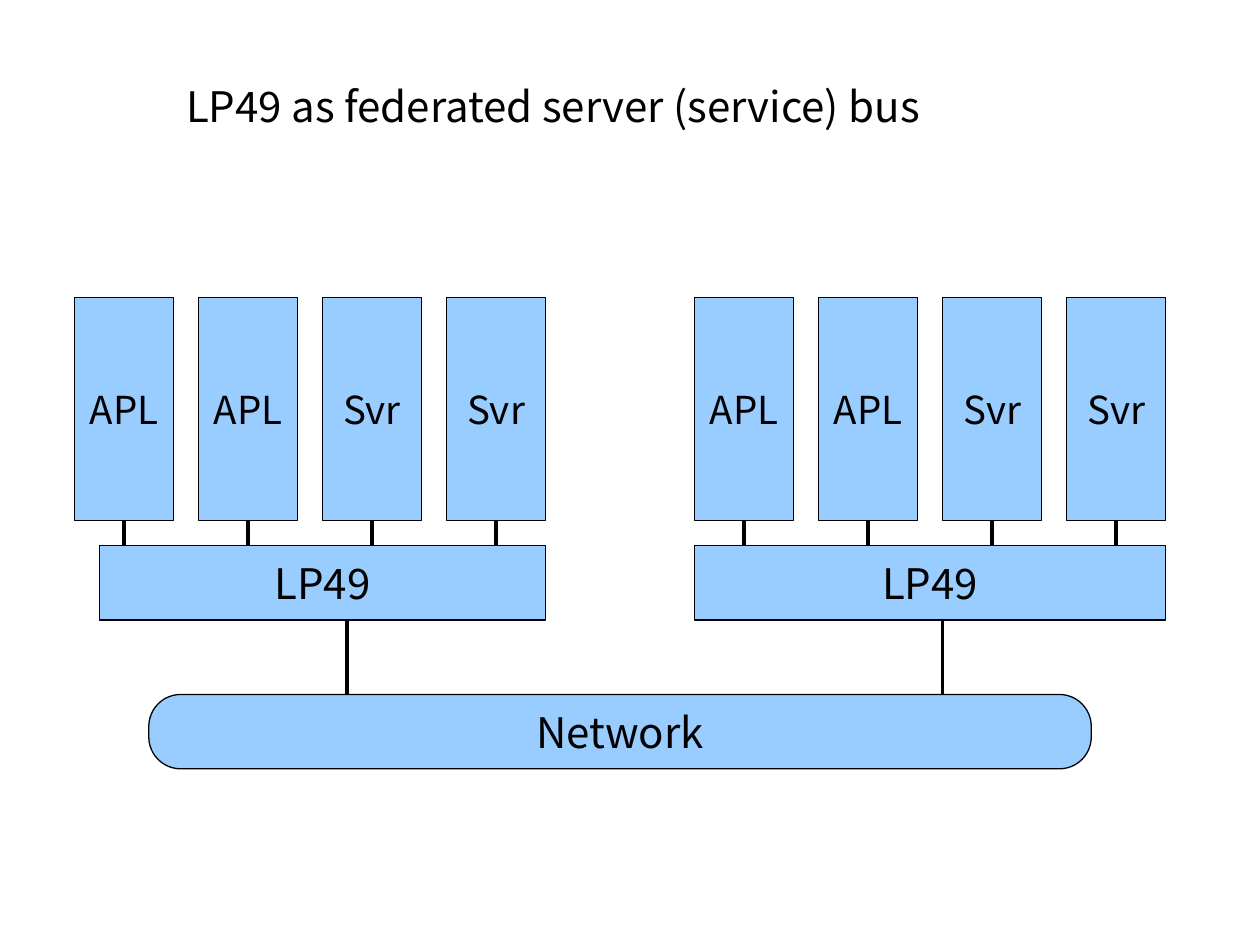
from lxml import etree
from pptx import Presentation
from pptx import util as u
from pptx.dml.color import RGBColor
from pptx.enum import shapes, text
from pptx.oxml.ns import qn

COLORS = {"fill": "99CCFF", "ink": "000000"}
FONT = "Noto Sans CJK JP"
GRID = u.Cm(0.5)  # side of one grid square

presentation = Presentation()
presentation.slide_width, presentation.slide_height = u.Inches(10), u.Inches(7.5)
slide = presentation.slides.add_slide(presentation.slide_layouts[5])


def add_box(label, column, row, columns, rows, size=24, kind=shapes.MSO_SHAPE.RECTANGLE):
    shape = slide.shapes.add_shape(kind, column * GRID, row * GRID, columns * GRID, rows * GRID)
    shape.shadow.inherit = False
    shape.fill.solid()
    shape.fill.fore_color.rgb = RGBColor.from_string(COLORS["fill"])
    shape.line.color.rgb = RGBColor.from_string(COLORS["ink"])
    shape.line.width = 0
    shape.text_frame.text = label
    shape.text_frame.vertical_anchor = text.MSO_ANCHOR.MIDDLE
    paragraph = shape.text_frame.paragraphs[0]
    paragraph.alignment = text.PP_ALIGN.CENTER
    paragraph.font.name, paragraph.font.size = FONT, u.Pt(size)
    paragraph.font.color.rgb = RGBColor.from_string(COLORS["ink"])
    return shape


def add_drop(column, top, bottom):
    line = slide.shapes.add_connector(
        shapes.MSO_CONNECTOR.STRAIGHT, column * GRID, top * GRID, column * GRID, bottom * GRID)
    line.line.color.rgb = RGBColor.from_string(COLORS["ink"])
    line.line.width = 0
    etree.SubElement(line._element.spPr, qn("a:effectLst"))
    return line


# Title
title = slide.shapes.title
title.left, title.top = 7 * GRID, 3 * GRID
title.width, title.height = u.Inches(6.54), u.Inches(0.55)
frame = title.text_frame
frame.text = "LP49 as federated server (service) bus"
frame.word_wrap = False
frame.auto_size = text.MSO_AUTO_SIZE.NONE
frame.vertical_anchor = text.MSO_ANCHOR.TOP
paragraph = frame.paragraphs[0]
paragraph.alignment = text.PP_ALIGN.LEFT
paragraph.font.name, paragraph.font.size = FONT, u.Pt(24)
paragraph.font.color.rgb = RGBColor.from_string(COLORS["ink"])

# Network shared by both nodes
network = add_box("Network", 6, 28, 38, 3, kind=shapes.MSO_SHAPE.ROUNDED_RECTANGLE)
network.adjustments[0] = 0.43

# Two nodes: first process column, bus column, bus width, network link column
for first, bus_column, bus_width, link in ((3, 4, 18, 14), (28, 28, 19, 38)):
    add_box("LP49", bus_column, 22, bus_width, 3)
    for index, label in enumerate(("APL", "APL", "Svr", "Svr")):
        column = first + 5 * index
        process = add_box(label, column, 12, 4, 9, size=22)
        add_drop(column + 2, 21, 22).begin_connect(process, 2)
    add_drop(link, 25, 28)

presentation.save("out.pptx")
